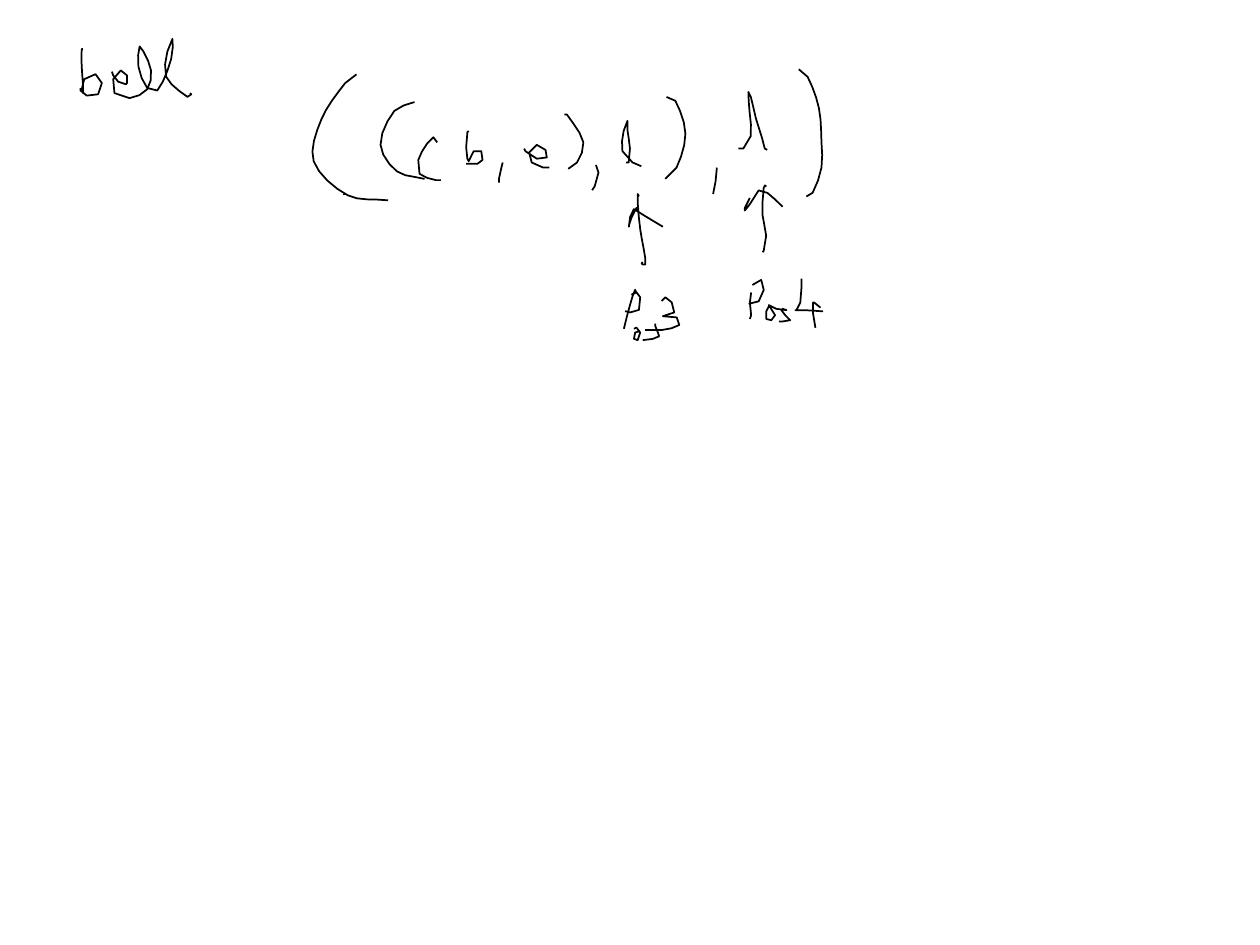
from dataclasses import dataclass
from math import dist

from pptx import Presentation
from pptx.dml.color import RGBColor
from pptx.util import Cm, Pt


@dataclass(frozen=True)
class Theme:
    ink: RGBColor = RGBColor(0, 0, 0)
    paper: RGBColor = RGBColor(255, 255, 255)
    pen: Pt = Pt(1)


THEME = Theme()
UNIT = Cm(2.54) / 100  # stroke points are hundredths of an inch
CHORD = 9  # usual length of one straight piece of a curve

# Pen strokes: each string is one stroke, given by the points it runs through
BELL = [
    "6,9 5,9 5,23 6,37 6,44 5,41 7,33 16,29 21,36 18,45 9,46 4,42 4,40",
    "29,27 30,30 34,35 40,37 41,36 41,30 36,26 30,33 31,44 43,48 57,41 60,26 "
    "54,11 51,7 50,23 57,40 65,42 76,17 77,1 73,11 72,31 89,47 92,45 91,44",
]

PAIRS = {
    "outer marks": [
        "329,27 336,30 344,56 337,83 328,92",
        "129,31 113,38 102,65 115,86 137,92",
        "434,5 441,11 450,36 452,63 452,83 445,103 440,106",
    ],
    "third letter": ["297,79 299,79 300,68 298,53 298,46 295,54 294,70 302,79 309,82"],
    "last comma": ["369,83 368,94 366,104"],
    "fourth letter": [
        "386,68 390,68 396,58 395,39 394,23 396,27 400,44 405,60 407,68 409,69",
    ],
    "middle comma": ["273,81 275,87 272,98 270,101", "73,105 73,104"],
    "inner pair": [
        "147,63 144,59 139,64 132,77 133,88 146,93 150,93",
        "172,54 171,55 170,67 171,76 172,78 176,70 182,70 183,77 179,80 170,80",
        "199,79 198,83 196,92 196,95",
        "216,68 217,70 226,76 234,75 233,69 226,65 220,71 222,79 231,83 236,83",
        "248,41 250,41 263,63 258,79 251,84",
        "83,9 74,16 55,45 49,78 76,105 108,109",
    ],
}

ARROW3 = [
    "17,6 16,4 16,11 18,32 22,55 22,60 20,60 19,59 20,58",
    "16,17 15,15 11,23 9,29 9,30 10,22 13,16 21,21 36,30",
]
POS3 = [
    "15,83 14,80 12,85 8,99 5,111",
    "11,84 15,82 18,86 17,96 10,98 6,97",
    "35,89 38,86 43,90 45,98 36,101 47,102 49,108 35,112 22,112",
    "18,114 17,113 14,114 13,119 16,120 18,114 15,110 13,111",
    "30,107 30,109 32,114 33,117 28,119 20,120",
]

ARROW4 = [
    "18,8 17,7 16,9 15,30 18,47 16,59 15,60",
    "5,17 4,19 1,25 1,27 5,22 12,11 19,13 31,24",
]
POS4 = [
    "6,92 5,100 6,110 5,113",
    "7,86 14,82 16,90 12,99 4,101",
    "20,103 18,107 18,113 22,114 25,110 20,102 26,105 34,106 "
    "31,105 30,106 33,110 37,114 31,115 28,115",
    "46,81 46,87 45,100 42,106 41,106 48,106 63,107",
    "61,104 56,100 55,100 55,108 57,120",
]


def smooth(text):
    """Return points on a smooth curve through the points of one stroke."""
    nodes = [tuple(map(float, pair.split(","))) for pair in text.split()]
    ends = [nodes[0], *nodes, nodes[-1]]
    slopes = []
    for back, here, front in zip(ends, nodes, ends[2:]):
        span = dist(back, here) + dist(here, front)
        slopes.append([(b - a) / span for a, b in zip(back, front)])
    curve = [nodes[0]]
    for i, (start, end) in enumerate(zip(nodes, nodes[1:])):
        gap = dist(start, end)
        steps = max(1, round(gap / CHORD))
        for step in range(1, steps + 1):
            t = step / steps
            u = 1 - t
            curve.append(tuple(
                u**3 * a + u * u * t * (3 * a + gap * m)
                + u * t * t * (3 * b - gap * n) + t**3 * b
                for a, b, m, n in zip(start, end, slopes[i], slopes[i + 1])
            ))
    return [(x * UNIT, y * UNIT) for x, y in curve]


def draw_ink(slide, box, strokes):
    """Draw a group of strokes as one open outline, relative to the box."""
    first, *others = [smooth(text) for text in strokes]
    pen = slide.shapes.build_freeform(*first[0])
    pen.add_line_segments(first[1:], close=False)
    for curve in others:
        pen.move_to(*curve[0])
        pen.add_line_segments(curve[1:], close=False)
    shape = pen.convert_to_shape(*box)
    shape.shadow.inherit = False
    shape.fill.background()
    shape.line.color.rgb = THEME.ink
    shape.line.width = THEME.pen


def add_word(slide, box):
    draw_ink(slide, box, BELL)


def add_pairs(slide, box):
    for strokes in PAIRS.values():
        draw_ink(slide, box, strokes)


def add_pointer(slide, box, arrow, label):
    draw_ink(slide, box, arrow)
    draw_ink(slide, box, label)


def main():
    deck = Presentation()
    deck.slide_width, deck.slide_height = Cm(25.4), Cm(19.05)
    slide = deck.slides.add_slide(deck.slide_layouts[6])
    slide.background.fill.solid()
    slide.background.fill.fore_color.rgb = THEME.paper

    # The word, its nested pairs and the two marked places
    add_word(slide, (Cm(1.52), Cm(0.76)))
    add_pairs(slide, (Cm(5.08), Cm(1.27)))
    add_pointer(slide, (Cm(12.45), Cm(3.81)), ARROW3, POS3)
    add_pointer(slide, (Cm(14.99), Cm(3.56)), ARROW4, POS4)
    deck.save("out.pptx")


if __name__ == "__main__":
    main()
